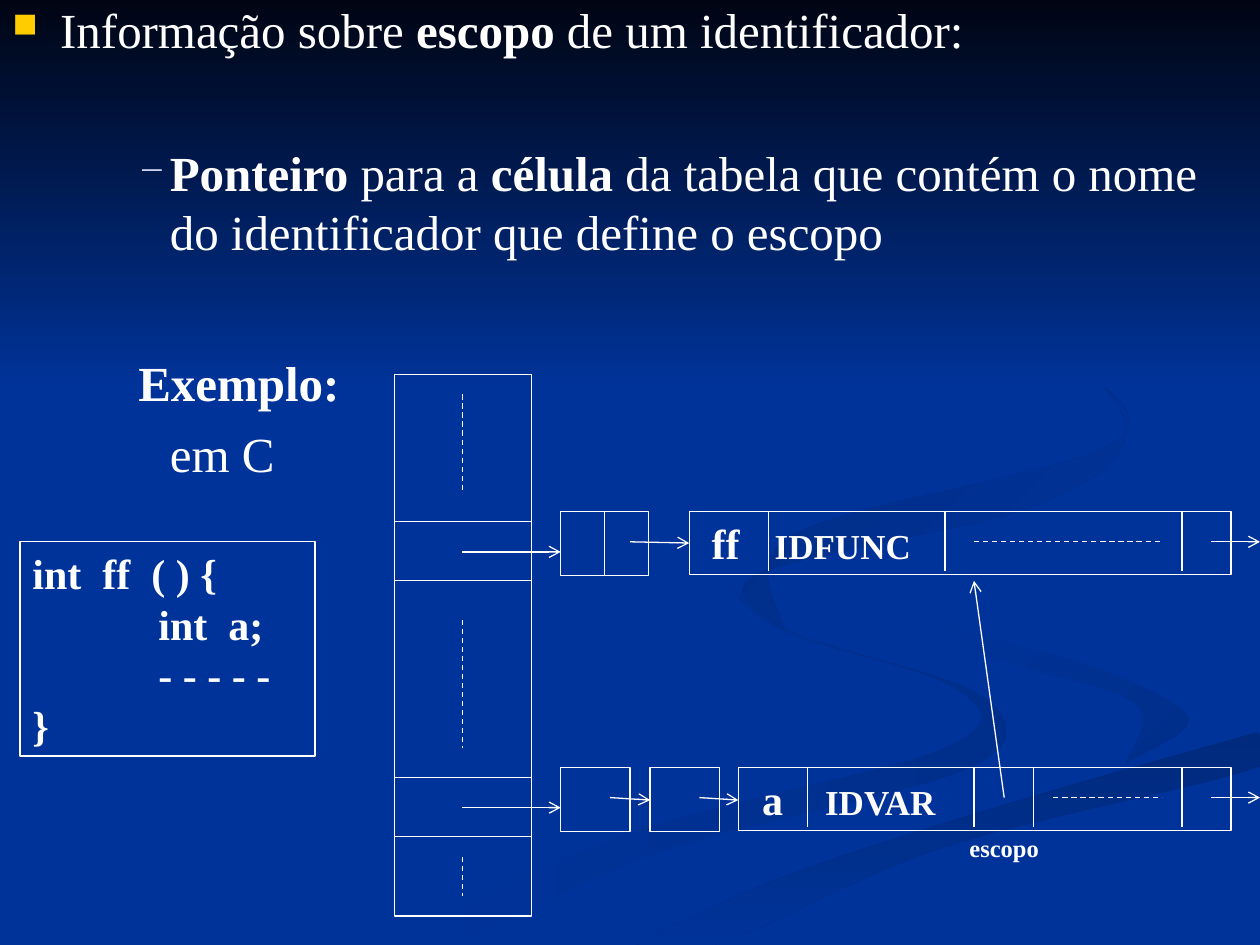
from pptx import Presentation
from pptx.dml.color import RGBColor
from pptx.enum.dml import MSO_LINE
from pptx.enum.shapes import MSO_CONNECTOR, MSO_SHAPE
from pptx.enum.text import MSO_ANCHOR, PP_ALIGN
from pptx.oxml.ns import qn
from pptx.util import Inches, Pt
from lxml.etree import SubElement

FONT, WHITE, BLUE = "Times New Roman", "FFFFFF", "003399"

# Background ribbons: start colour, end colour, downward angle, two edges
WAVES = [
    (BLUE, "002E8B", 0,
     [(5.75, 4.6), (6.2, 5), (7.6, 5.47), (7.5, 5.94), (5, 6.61), (3, 7.49)],
     [(3.6, 7.49), (5.3, 6.74), (7.7, 6.09), (7.8, 5.53), (6.3, 5.02)]),
    (BLUE, "002E8B", 45,
     [(7.24, 4.64), (7.8, 5.18), (9, 5.57), (8.94, 6.05)],
     [(9.43, 5.7), (8.7, 5.3), (7.6, 4.98)]),
    ("002A7D", BLUE, 90,
     [(5.03, 7.49), (6.3, 6.93), (8, 6.38), (9.98, 5.81)],
     [(9.98, 6.09), (7.5, 6.72), (5.7, 7.49)]),
    ("002B82", BLUE, 45,
     [(7.62, 2.33), (8.6, 2.92), (8.8, 3.54), (6.3, 4.24), (6.22, 5)],
     [(6, 4.56), (8.2, 4.02), (8.94, 3.44), (8.4, 2.75)]),
]

# Body: margin, indent, space before, bullet, bullet colour, runs (text, bold)
BODY = [
    (0.38, -0.38, 7, "■", "FFCC00", [("Informação sobre ", False),
     ("escopo", True), (" de um identificador:", False)]),
    (1.25, -0.25, 48, "−", "E5E5FF", [("Ponteiro", True), (" para a ", False),
     ("célula", True), (" da tabela que contém o nome do identificador "
                        "que define o escopo", False)]),
    (1, 0, 52.5, None, None, [("Exemplo:", True)]),
    (1.25, 0, 7, None, None, [("em C", False)]),
]
CODE = ["int  ff  ( ) {", "\tint  a;", "\t- - - - -", "}"]

# Hash table column, its row lines and its dashed gaps
LEFT, RIGHT, MID = 3.13, 4.22, 3.67
ROWS = [4.14, 4.61, 6.17, 6.64]
GAPS = [(3.13, 3.91), (4.92, 5.94), (6.8, 7.11)]

# Symbol cells: left, top, name, kind, indent, tab, dividers, dash start
CELLS = [
    (5.47, 4.06, "ff", "IDFUNC", 0.08, 0.64, [6.1, 7.5, 9.38], 7.73),
    (5.86, 6.09, "a", "IDVAR", 0.09, 0.67, [6.41, 7.73, 8.2, 9.38], 8.36),
]
NODES = [(4.45, 4.06, 0.7), (4.45, 6.09, 0.55), (5.16, 6.09, 0.55)]
ARROWS = [
    (MID, 4.38, 4.45, 4.38), (MID, 6.41, 4.45, 6.41),
    (5, 4.3, 5.47, 4.31), (4.84, 6.33, 5.16, 6.35),
    (5.55, 6.33, 5.86, 6.35), (7.97, 6.33, 7.73, 4.61),
]

deck = Presentation()
deck.slide_width, deck.slide_height = Inches(10), Inches(7.5)
slide = deck.slides.add_slide(deck.slide_layouts[6])
shapes = slide.shapes


def color(code):
    return RGBColor.from_string(code)


def curve(dots, steps=8):
    """Points of a smooth curve through the dots."""
    ends = [dots[0], *dots, dots[-1]]
    out = []
    for a, b, c, d in zip(ends, ends[1:], ends[2:], ends[3:]):
        for step in range(steps):
            t = step / steps
            out.append(tuple(
                q + t / 2 * (r - p + t * (2 * p - 5 * q + 4 * r - s
                                          + t * (3 * (q - r) + s - p)))
                for p, q, r, s in zip(a, b, c, d)))
    return out + [dots[-1]]


def blend(dots, start, end, angle):
    spots = [(Inches(x), Inches(y)) for x, y in dots]
    pen = shapes.build_freeform(*spots[0])
    pen.add_line_segments(spots[1:])
    form = pen.convert_to_shape()
    form.shadow.inherit = False
    form.line.fill.background()
    form.fill.gradient()
    form.fill.gradient_angle = (360 - angle) % 360
    for stop, code, at in zip(form.fill.gradient_stops, (start, end), (0, 1)):
        stop.color.rgb, stop.position = color(code), at


def rect(x, y, w, h):
    box = shapes.add_shape(MSO_SHAPE.RECTANGLE, *map(Inches, (x, y, w, h)))
    box.shadow.inherit = False
    box.fill.background()
    box.line.color.rgb, box.line.width = color(WHITE), Pt(0.75)
    return box


def line(x1, y1, x2, y2, dash=False, arrow=False):
    rule = shapes.add_connector(MSO_CONNECTOR.STRAIGHT,
                                *map(Inches, (x1, y1, x2, y2)))
    rule.line.color.rgb, rule.line.width = color(WHITE), Pt(0.75)
    if dash:
        rule.line.dash_style = MSO_LINE.DASH
    if arrow:
        SubElement(rule.line._get_or_add_ln(), qn("a:tailEnd"), type="arrow")
    SubElement(rule._element.spPr, qn("a:effectLst"))


def run(para, text, size, bold=True):
    bit = para.add_run()
    bit.text = text
    bit.font.name, bit.font.size, bit.font.bold = FONT, Pt(size), bold
    bit.font.color.rgb = color(WHITE)


def paras(box, count):
    frame = box.text_frame
    frame.word_wrap, frame.vertical_anchor = True, MSO_ANCHOR.TOP
    for _ in range(count - 1):
        frame.add_paragraph()
    for para in frame.paragraphs:
        para.alignment = PP_ALIGN.LEFT
    return frame.paragraphs


def indent(para, margin, first=0):
    props = para._p.get_or_add_pPr()
    props.set("marL", str(Inches(margin)))
    props.set("indent", str(Inches(first)))
    return props


def tab(para, at):
    tabs = SubElement(para._p.get_or_add_pPr(), qn("a:tabLst"))
    SubElement(tabs, qn("a:tab"), pos=str(Inches(at)), algn="l")


# Background
slide.background.fill.solid()
slide.background.fill.fore_color.rgb = color(BLUE)
for start, end, angle, out, back in WAVES:
    blend(curve(out) + curve([out[-1], *back, out[0]]), start, end, angle)
blend([(0, 0), (0, 3.08), (10, 3.08), (10, 0)], "000514", BLUE, 90)

# Body text
body = shapes.add_textbox(0, 0, Inches(10), Inches(4))
body.text_frame.margin_top = 0
for para, (left, first, gap, mark, tint, bits) in zip(
        paras(body, len(BODY)), BODY):
    para.space_before = Pt(gap)
    props = indent(para, left, first)
    if mark:
        SubElement(SubElement(props, qn("a:buClr")), qn("a:srgbClr"), val=tint)
        SubElement(props, qn("a:buSzPct"), val="70000")
        SubElement(props, qn("a:buChar"), char=mark)
    for text, bold in bits:
        run(para, text, 28, bold)

# Code sample
for para, text in zip(paras(rect(0.16, 4.3, 2.34, 1.7), len(CODE)), CODE):
    tab(para, 1)
    run(para, text, 24)

# Hash table
rect(LEFT, 2.97, RIGHT - LEFT, 4.3)
for y in ROWS:
    line(LEFT, y, RIGHT, y)
for top, end in GAPS:
    line(MID, top, MID, end, dash=True)

# Symbol cells
for x, y, name, kind, left, stop, cuts, dash in CELLS:
    para = paras(rect(x, y, 9.77 - x, 0.5), 1)[0]
    indent(para, left)
    tab(para, stop)
    run(para, name + "\t", 24)
    run(para, kind, 20)
    for cut in cuts:
        line(cut, y, cut, y + 0.47)
    line(dash, y + 0.24, 9.22, y + 0.24, dash=True)
    line(9.61, y + 0.24, 10, y + 0.24, arrow=True)

# List nodes and pointers
for x, y, w in NODES:
    rect(x, y, w, 0.51)
line(4.8, 4.06, 4.8, 4.57)
for ends in ARROWS:
    line(*ends, arrow=True)

# Scope label
label = paras(shapes.add_textbox(*map(Inches, (7.53, 6.56, 0.88, 0.4))), 1)[0]
label.alignment = PP_ALIGN.CENTER
run(label, "escopo", 14)

deck.save("out.pptx")
